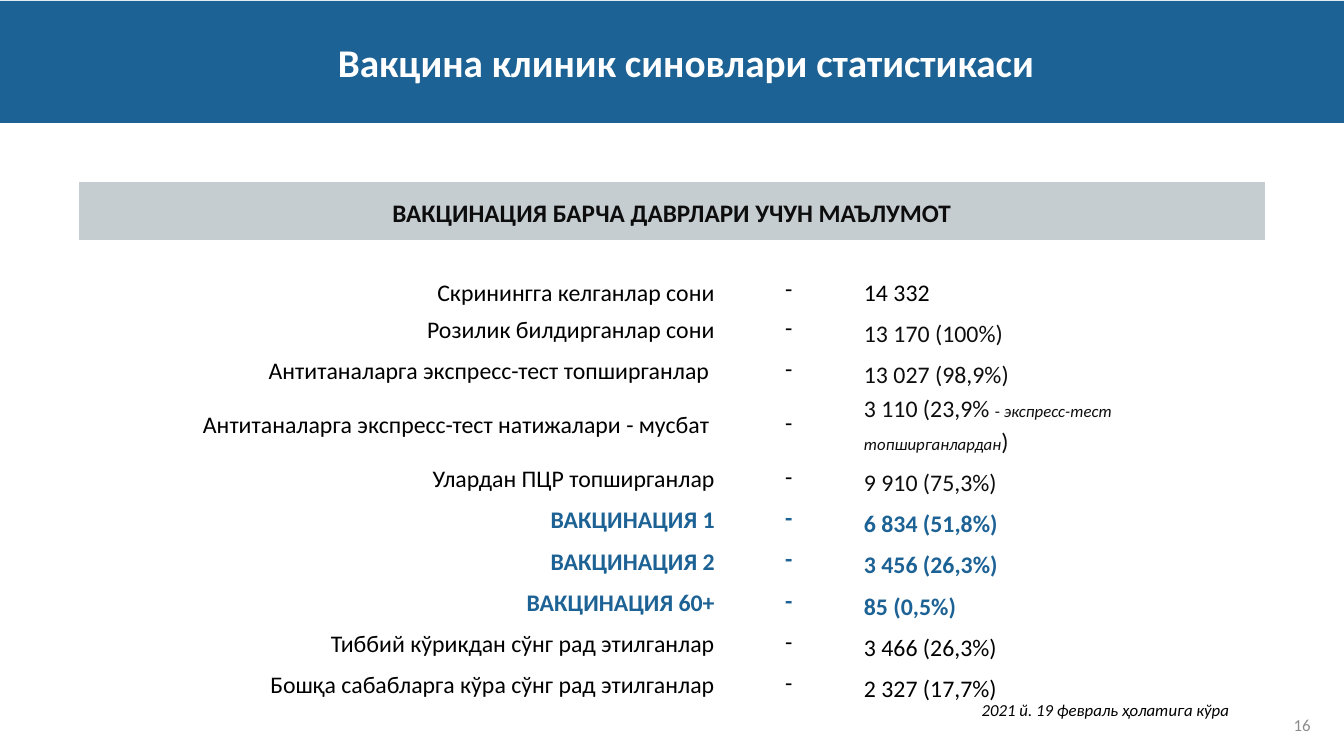
"""Build the slide with the vaccine clinical trial statistics."""
from dataclasses import dataclass

from lxml.etree import SubElement
from pptx import Presentation
from pptx.dml.color import RGBColor
from pptx.enum.shapes import MSO_SHAPE
from pptx.enum.text import MSO_ANCHOR, MSO_AUTO_SIZE, PP_ALIGN
from pptx.oxml.ns import qn
from pptx.util import Pt

BANNER_BLUE = RGBColor(0x1D, 0x62, 0x94)
ACCENT_BLUE = RGBColor(0x1D, 0x62, 0x95)
HEADING_GREY = RGBColor(0xC6, 0xCD, 0xD1)
NUMBER_GREY = RGBColor(0x8C, 0x8C, 0x8C)
INK = RGBColor(0x0D, 0x0D, 0x0D)
BLACK = RGBColor(0, 0, 0)
WHITE = RGBColor(255, 255, 255)

COLUMN_WIDTHS = (457.2, 100.1, 290.2)
SPACER_HEIGHT, HEADING_HEIGHT, FIRST_HEIGHT, ROW_HEIGHT = 19.4, 42.5, 47.7, 29.4
LINE_SPACING = 1.15


@dataclass(frozen=True)
class Span:
    text: str
    size: float = 17
    color: RGBColor = BLACK
    bold: bool = False
    italic: bool = False


@dataclass(frozen=True)
class Statistic:
    label: str
    value: str
    accent: bool = False
    value_color: RGBColor = INK
    note: tuple[Span, ...] = ()


@dataclass(frozen=True)
class Column:
    align: PP_ALIGN
    anchor: MSO_ANCHOR
    side_margin: float
    spacing: float
    first_top: float


HEADING = Column(PP_ALIGN.CENTER, MSO_ANCHOR.MIDDLE, 2.9, LINE_SPACING, 0)
COLUMNS = (
    Column(PP_ALIGN.RIGHT, MSO_ANCHOR.MIDDLE, 2.9, LINE_SPACING, 23.8),
    Column(PP_ALIGN.CENTER, MSO_ANCHOR.MIDDLE, 2.9, 1.0, 20.8),
    Column(PP_ALIGN.LEFT, MSO_ANCHOR.BOTTOM, 3.6, LINE_SPACING, 0),
)

STATISTICS = (
    Statistic("Скринингга келганлар сони", "14 332", value_color=BLACK),
    Statistic("Розилик билдирганлар сони", "13 170 (100%)"),
    Statistic("Антитаналарга экспресс-тест топширганлар ", "13 027 (98,9%)"),
    Statistic(
        "Антитаналарга экспресс-тест натижалари - мусбат ",
        "3 110 (23,9% ",
        note=(
            Span("- ", 12, INK),
            Span("экспресс-тест топширганлардан", 12, INK, italic=True),
            Span(")", color=INK),
        ),
    ),
    Statistic("Улардан ПЦР топширганлар", "9 910 (75,3%)"),
    Statistic("ВАКЦИНАЦИЯ 1", "6 834 (51,8%)", True),
    Statistic("ВАКЦИНАЦИЯ 2", "3 456 (26,3%)", True),
    Statistic("ВАКЦИНАЦИЯ 60+", "85 (0,5%)", True),
    Statistic("Тиббий кўрикдан сўнг рад этилганлар", "3 466 (26,3%)", value_color=BLACK),
    Statistic("Бошқа сабабларга кўра сўнг рад этилганлар", "2 327 (17,7%)", value_color=BLACK),
)


def write(paragraph, spans: tuple[Span, ...], align: PP_ALIGN, spacing: float = 1.0) -> None:
    for name, value in {"alignment": align, "line_spacing": spacing}.items():
        setattr(paragraph, name, value)
    for span in spans:
        run = paragraph.add_run()
        run.text = span.text
        look = {"name": "Calibri", "size": Pt(span.size), "bold": span.bold, "italic": span.italic}
        for name, value in look.items():
            setattr(run.font, name, value)
        run.font.color.rgb = span.color


def fill_cell(cell, spans: tuple[Span, ...], column: Column, top: float = 0) -> None:
    layout = {
        "vertical_anchor": column.anchor,
        "margin_left": Pt(column.side_margin),
        "margin_right": Pt(column.side_margin),
        "margin_top": Pt(top),
        "margin_bottom": Pt(0),
    }
    for name, value in layout.items():
        setattr(cell, name, value)
    cell.fill.background()
    paragraph = cell.text_frame.paragraphs[0]
    write(paragraph, spans, column.align, column.spacing)
    if not spans:
        SubElement(paragraph._p, qn("a:endParaRPr"), sz="1000")


def add_statistics(slide) -> None:
    heights = [SPACER_HEIGHT, HEADING_HEIGHT, FIRST_HEIGHT]
    heights += [ROW_HEIGHT] * len(STATISTICS)
    table = slide.shapes.add_table(
        len(heights), len(COLUMNS), Pt(56.2), Pt(110.2), Pt(sum(COLUMN_WIDTHS)), Pt(sum(heights))
    ).table
    table.first_row = table.horz_banding = False
    for column, width in zip(table.columns, COLUMN_WIDTHS):
        column.width = Pt(width)
    for row, height in zip(table.rows, heights):
        row.height = Pt(height)
    for row in (0, len(heights) - 1):
        for index, column in enumerate(COLUMNS):
            fill_cell(table.cell(row, index), (), column)

    heading = table.cell(1, 0)
    heading.merge(table.cell(1, 2))
    fill_cell(heading, (Span("ВАКЦИНАЦИЯ БАРЧА ДАВРЛАРИ УЧУН МАЪЛУМОТ", 18, INK, True),), HEADING)
    heading.fill.solid()
    heading.fill.fore_color.rgb = HEADING_GREY

    for row, item in enumerate(STATISTICS, start=2):
        color = ACCENT_BLUE if item.accent else BLACK
        value_color = ACCENT_BLUE if item.accent else item.value_color
        contents = (
            (Span(item.label, color=color, bold=item.accent),),
            (Span("-", color=color, bold=item.accent),),
            (Span(item.value, color=value_color, bold=item.accent), *item.note),
        )
        for index, (spans, column) in enumerate(zip(contents, COLUMNS)):
            fill_cell(table.cell(row, index), spans, column, column.first_top if row == 2 else 0)


def add_text(slide, box: tuple[float, ...], span: Span, align: PP_ALIGN, anchor: MSO_ANCHOR) -> None:
    frame = slide.shapes.add_textbox(*map(Pt, box)).text_frame
    for name, value in {"word_wrap": True, "vertical_anchor": anchor}.items():
        setattr(frame, name, value)
    write(frame.paragraphs[0], (span,), align)


def add_banner(slide) -> None:
    banner = slide.shapes.add_shape(MSO_SHAPE.RECTANGLE, Pt(-20.9), Pt(0.7), Pt(1000.8), Pt(87.1))
    banner.shadow.inherit = False
    banner.fill.solid()
    banner.fill.fore_color.rgb = BANNER_BLUE
    banner.line.fill.background()

    title = slide.shapes.title
    place = {"left": Pt(37.4), "top": Pt(23.8), "width": Pt(905), "height": Pt(41)}
    for name, value in place.items():
        setattr(title, name, value)
    frame = title.text_frame
    layout = {"word_wrap": True, "auto_size": MSO_AUTO_SIZE.NONE, "vertical_anchor": MSO_ANCHOR.TOP}
    for name, value in layout.items():
        setattr(frame, name, value)
    heading = Span("Вакцина клиник синовлари статистикаси", 28, WHITE, True)
    write(frame.paragraphs[0], (heading,), PP_ALIGN.CENTER)
    banner.element.addnext(title.element)


def main() -> None:
    deck = Presentation()
    deck.slide_width, deck.slide_height = Pt(960), Pt(540)
    slide = deck.slides.add_slide(deck.slide_layouts[5])
    add_statistics(slide)
    as_of = Span("2021 й. 19 февраль ҳолатига кўра", 12, italic=True)
    add_text(slide, (694.1, 496.1, 211.7, 21.6), as_of, PP_ALIGN.LEFT, MSO_ANCHOR.TOP)
    add_banner(slide)
    page_number = Span("16", 12, NUMBER_GREY)
    add_text(slide, (727.2, 503.3, 216, 28.8), page_number, PP_ALIGN.RIGHT, MSO_ANCHOR.MIDDLE)
    deck.save("out.pptx")


if __name__ == "__main__":
    main()
